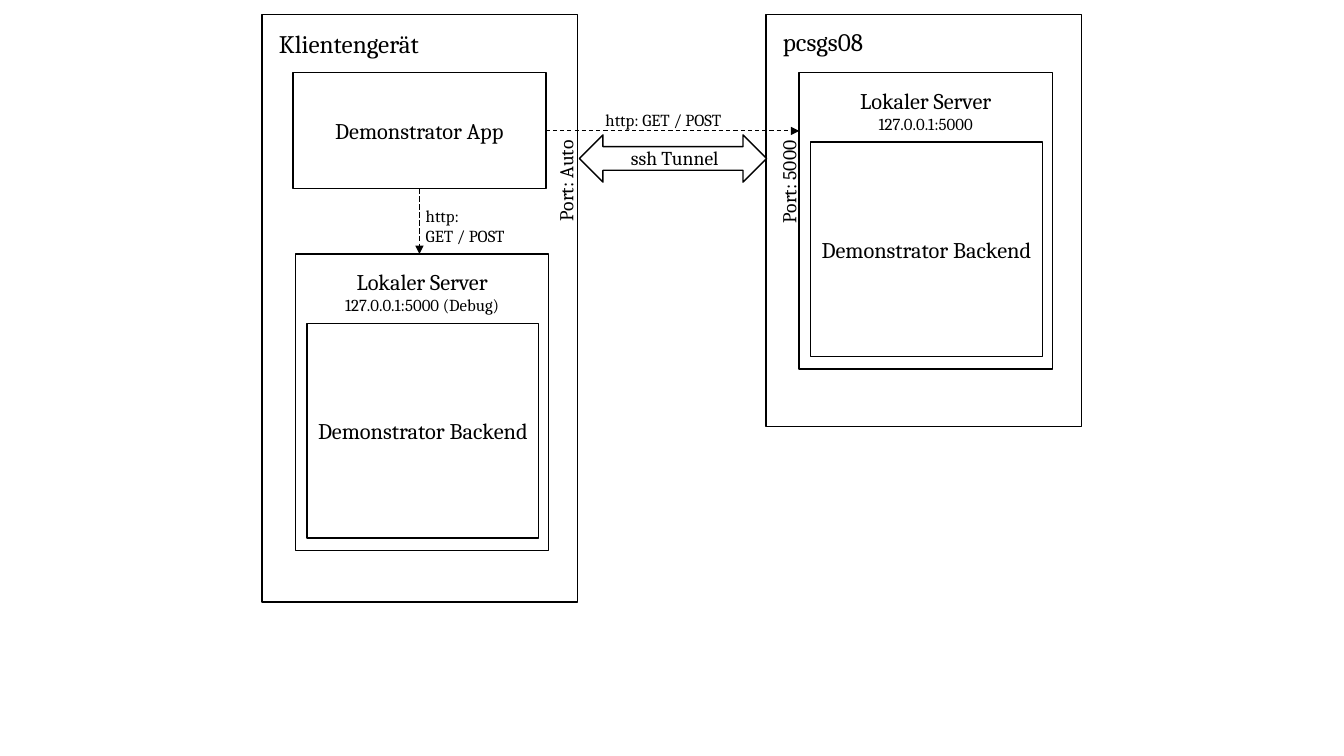
from lxml import etree
from pptx import Presentation
from pptx.dml.color import RGBColor
from pptx.enum.dml import MSO_LINE_DASH_STYLE as Dash
from pptx.enum.shapes import MSO_CONNECTOR, MSO_SHAPE as Shape
from pptx.enum.text import MSO_ANCHOR, MSO_AUTO_SIZE, PP_ALIGN as Align
from pptx.oxml.ns import qn
from pptx.util import Cm, Pt

BLACK, WHITE = "000000", "FFFFFF"
FONT = "Cambria"
SERVER_WIDTH = 6.38
BOX_TOP = 1.83


def color(hex_code):
    return RGBColor.from_string(hex_code)


def write(frame, lines, align):
    """Fill a text frame from (text, point size) pairs, one per paragraph."""
    frame.text = "\n".join(text for text, _ in lines)
    for paragraph, (_, size) in zip(frame.paragraphs, lines):
        paragraph.alignment = align
        for run in paragraph.runs:
            run.font.name = FONT
            run.font.size = Pt(size)
            run.font.color.rgb = color(BLACK)


def add_box(slide, left, top, width, height, text="", kind=Shape.RECTANGLE):
    box = slide.shapes.add_shape(kind, Cm(left), Cm(top), Cm(width), Cm(height))
    box.shadow.inherit = False
    box.fill.solid()
    box.fill.fore_color.rgb = color(WHITE)
    box.line.color.rgb = color(BLACK)
    box.line.width = Pt(1)
    if text:
        box.text_frame.vertical_anchor = MSO_ANCHOR.MIDDLE
        write(box.text_frame, [(text, 16)], Align.CENTER)


def add_label(slide, left, top, width, height, *lines, align=Align.LEFT, wrap=False):
    label = slide.shapes.add_textbox(Cm(left), Cm(top), Cm(width), Cm(height))
    label.text_frame.word_wrap = wrap
    label.text_frame.auto_size = MSO_AUTO_SIZE.SHAPE_TO_FIT_TEXT
    write(label.text_frame, lines, align)
    return label


def add_port(slide, left, text):
    port = add_label(slide, left, 4.32, 2.92, 0.86, (text, 14), align=Align.RIGHT, wrap=True)
    port.rotation = 270


def add_request(slide, start, end, weight, dash):
    """Draw a dashed arrow between two (x, y) points."""
    request = slide.shapes.add_connector(MSO_CONNECTOR.STRAIGHT, *map(Cm, start + end))
    request.line.color.rgb = color(BLACK)
    request.line.width = Pt(weight)
    request.line.dash_style = dash
    etree.SubElement(request.line._get_or_add_ln(), qn("a:tailEnd"), type="triangle")
    etree.SubElement(request._element.spPr, qn("a:effectLst"))


def add_server(slide, left, top, address, label_width):
    """Draw a local server with its address and the backend inside it."""
    add_box(slide, left, top, SERVER_WIDTH, 7.47)
    add_box(slide, left + 0.29, top + 1.75, 5.84, 5.41, "Demonstrator Backend")
    add_label(slide, left + (SERVER_WIDTH - label_width) / 2, top + 0.23, label_width, 1.45,
              ("Lokaler Server", 16), (address, 12), align=Align.CENTER)


def main():
    deck = Presentation()
    deck.slide_width, deck.slide_height = Cm(33.87), Cm(19.05)
    slide = deck.slides.add_slide(deck.slide_layouts[6])

    add_box(slide, 6.6, 0.36, 7.95, 14.81)
    add_box(slide, 7.38, BOX_TOP, SERVER_WIDTH, 2.92, "Demonstrator App")
    add_label(slide, 6.78, 0.58, 4.32, 1.02, ("Klientengerät", 18))

    add_box(slide, 19.3, 0.36, 7.95, 10.39)
    add_label(slide, 19.48, 0.53, 2.62, 1.02, ("pcsgs08", 18))

    add_port(slide, 12.8, "Port: Auto")
    add_port(slide, 18.42, "Port: 5000")

    add_request(slide, (10.57, 4.75), (10.57, 6.4), 0.5, Dash.LONG_DASH)
    add_label(slide, 10.48, 5.05, 3.1, 1.27, ("http: \vGET / POST", 12))
    add_request(slide, (13.75, 3.3), (20.14, 3.3), 0.75, Dash.DASH)
    add_label(slide, 15.01, 2.64, 4.17, 0.76, ("http: GET / POST", 12))

    add_box(slide, 14.6, 3.4, 4.72, 1.19, kind=Shape.LEFT_RIGHT_ARROW)
    add_label(slide, 15.65, 3.55, 2.9, 0.86, ("ssh Tunnel", 14))

    add_server(slide, 20.14, BOX_TOP, "127.0.0.1:5000", 4.14)
    add_server(slide, 7.45, 6.4, "127.0.0.1:5000 (Debug)", 4.8)

    deck.save("out.pptx")


if __name__ == "__main__":
    main()
